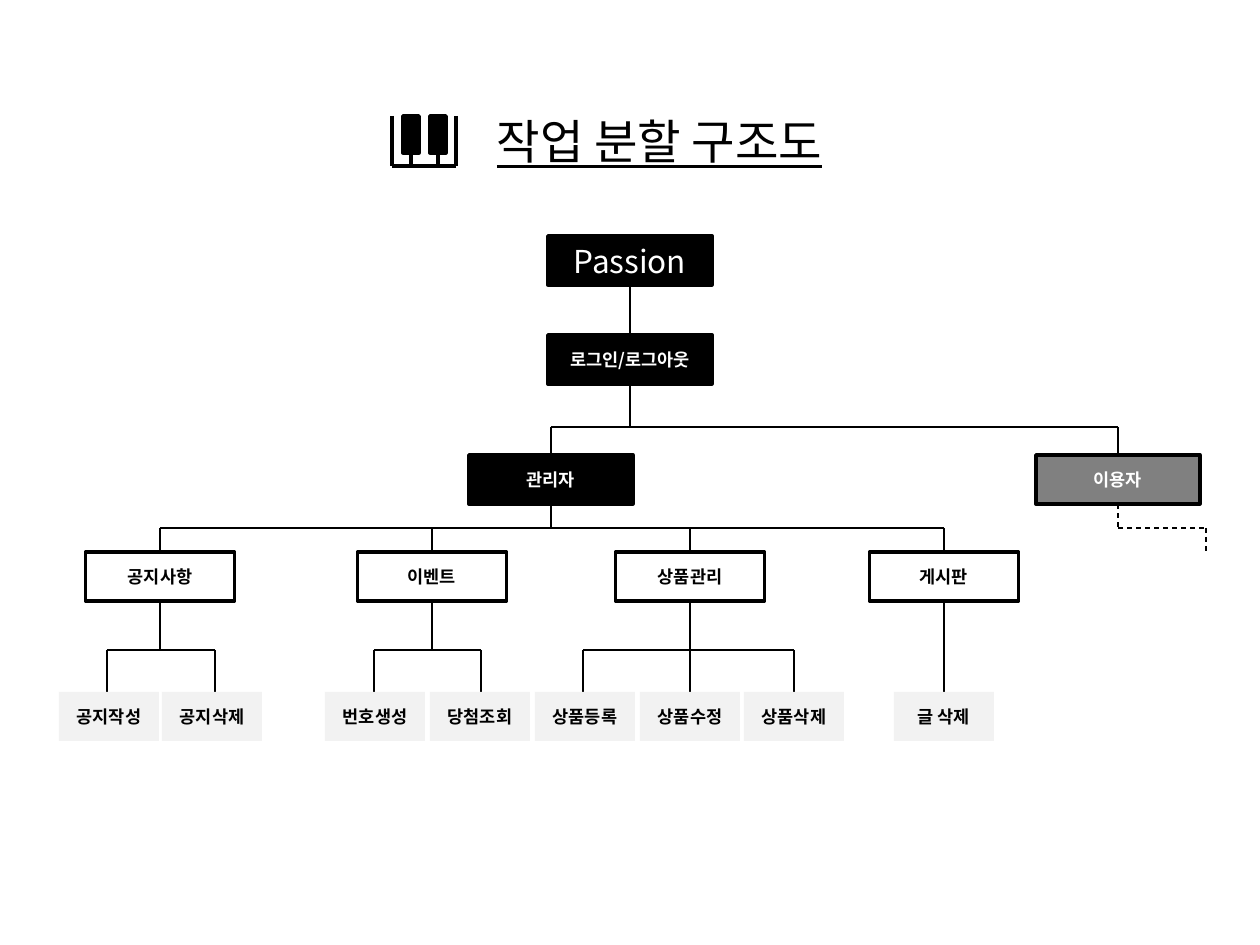
from lxml import etree
from pptx import Presentation
from pptx.dml.color import RGBColor
from pptx.enum.dml import MSO_LINE
from pptx.enum.shapes import MSO_CONNECTOR, MSO_SHAPE
from pptx.enum.text import MSO_ANCHOR, MSO_AUTO_SIZE, PP_ALIGN
from pptx.oxml.ns import qn
from pptx.util import Pt

STRAIGHT = MSO_CONNECTOR.STRAIGHT
RECTANGLE = MSO_SHAPE.RECTANGLE
DASH = MSO_LINE.DASH
MIDDLE = MSO_ANCHOR.MIDDLE
CENTER = PP_ALIGN.CENTER
FIXED = MSO_AUTO_SIZE.NONE

FONT = "Noto Sans CJK KR"
BLACK, WHITE, GRAY, PALE = "000000", "FFFFFF", "808080", "F2F2F2"
EMU_PER_PX = 914400 / 126

TITLE = "작업 분할 구조도"
ROOT, LOGIN = "Passion", "로그인/로그아웃"
ROOT_X = 630
ROLES = [("관리자", 551, BLACK), ("이용자", 1118, GRAY)]
MENUS = [
    ("공지사항", 160, [("공지작성", 109, 107), ("공지삭제", 212, 215)]),
    ("이벤트", 432, [("번호생성", 375, 374), ("당첨조회", 480, 481)]),
    ("상품관리", 690, [("상품등록", 585, 583), ("상품수정", 690, 690), ("상품삭제", 794, 794)]),
    ("게시판", 944, [("글 삭제", 944, 944)]),
]
ROOT_Y, LOGIN_Y, ROLE_Y, MENU_Y, LEAF_Y = 236, 335, 455, 552, 692
ROLE_BUS, MENU_BUS, LEAF_BUS = 427, 528, 650
WIDE, MEDIUM, NARROW, HEIGHT = 164, 149, 100, 49
USER_END, USER_DROP_END = 1206, 554

KEYS = [411, 438]
KEY_WIDTH, KEY_TOP, KEY_HEIGHT = 16, 116, 37
ICON_LEFT, ICON_RIGHT, ICON_BOTTOM = 392, 456, 166


def px(value):
    return round(value * EMU_PER_PX)


def color(value):
    return RGBColor.from_string(value)


def write(shape, text, size=10, fill=BLACK, bold=True, underline=False):
    frame = shape.text_frame
    frame.word_wrap = True
    frame.auto_size = FIXED
    frame.vertical_anchor = MIDDLE
    para = frame.paragraphs[0]
    para.alignment = CENTER
    span = para.add_run()
    span.text = text
    font = span.font
    font.name, font.size, font.bold, font.underline = FONT, Pt(size), bold, underline
    font.color.rgb = color(fill)
    etree.SubElement(span._r.get_or_add_rPr(), qn("a:ea")).set("typeface", FONT)


def add_box(page, center, top, width, height, fill, outlined=True):
    box = page.shapes.add_shape(
        RECTANGLE, px(center - width / 2), px(top), px(width), px(height))
    box.shadow.inherit = False
    box.fill.solid()
    box.fill.fore_color.rgb = color(fill)
    if outlined:
        box.line.color.rgb = color(BLACK)
        box.line.width = Pt(2)
    else:
        box.line.fill.background()
    return box


def add_line(page, x1, y1, x2, y2, width=0.75, dash=None):
    line = page.shapes.add_connector(STRAIGHT, px(x1), px(y1), px(x2), px(y2))
    line.line.color.rgb = color(BLACK)
    line.line.width = Pt(width)
    if dash:
        line.line.dash_style = dash
    etree.SubElement(line._element.spPr, qn("a:effectLst"))


def add_icon(page):
    for center in KEYS:
        add_box(page, center, KEY_TOP, KEY_WIDTH, KEY_HEIGHT, BLACK)
        add_line(page, center, KEY_TOP + KEY_HEIGHT, center, ICON_BOTTOM, width=2)
    for side in (ICON_LEFT, ICON_RIGHT):
        add_line(page, side, KEY_TOP, side, ICON_BOTTOM, width=2)
    add_line(page, ICON_LEFT, ICON_BOTTOM, ICON_RIGHT, ICON_BOTTOM, width=2)


def add_title(page):
    title = page.shapes.title
    title.left, title.top, title.width, title.height = px(456), px(105), px(407), px(71)
    write(title, TITLE, size=27, bold=False, underline=True)


def add_branch(page, parent, top, bus, bottom, children):
    add_line(page, parent, top, parent, bus)
    if len(children) > 1:
        add_line(page, children[0], bus, children[-1], bus)
    for child in children:
        add_line(page, child, bus, child, bottom)


def add_lines(page):
    admin, user = [center for _, center, _ in ROLES]
    add_line(page, ROOT_X, ROOT_Y + HEIGHT, ROOT_X, LOGIN_Y)
    add_branch(page, ROOT_X, LOGIN_Y + HEIGHT, ROLE_BUS, ROLE_Y, [admin, user])
    add_branch(page, admin, ROLE_Y + HEIGHT, MENU_BUS, MENU_Y,
               [center for _, center, _ in MENUS])
    for _, center, leaves in MENUS:
        add_branch(page, center, MENU_Y + HEIGHT, LEAF_BUS, LEAF_Y,
                   [drop for _, _, drop in leaves])
    add_line(page, user, ROLE_Y + HEIGHT, user, MENU_BUS, dash=DASH)
    add_line(page, user, MENU_BUS, USER_END, MENU_BUS, dash=DASH)
    add_line(page, USER_END, MENU_BUS, USER_END, USER_DROP_END, dash=DASH)


def add_boxes(page):
    root = add_box(page, ROOT_X, ROOT_Y, WIDE, HEIGHT, BLACK)
    write(root, ROOT, size=18, fill=WHITE, bold=False)
    write(add_box(page, ROOT_X, LOGIN_Y, WIDE, HEIGHT, BLACK), LOGIN, fill=WHITE)
    for name, center, fill in ROLES:
        write(add_box(page, center, ROLE_Y, WIDE, HEIGHT, fill), name, fill=WHITE)
    for name, center, leaves in MENUS:
        write(add_box(page, center, MENU_Y, MEDIUM, HEIGHT, WHITE), name)
        for leaf, middle, _ in leaves:
            write(add_box(page, middle, LEAF_Y, NARROW, HEIGHT, PALE, outlined=False), leaf)


def main():
    deck = Presentation()
    deck.slide_width, deck.slide_height = px(1260), px(945)
    page = deck.slides.add_slide(deck.slide_layouts[5])
    add_title(page)
    add_icon(page)
    add_lines(page)
    add_boxes(page)
    deck.save("out.pptx")


if __name__ == "__main__":
    main()
